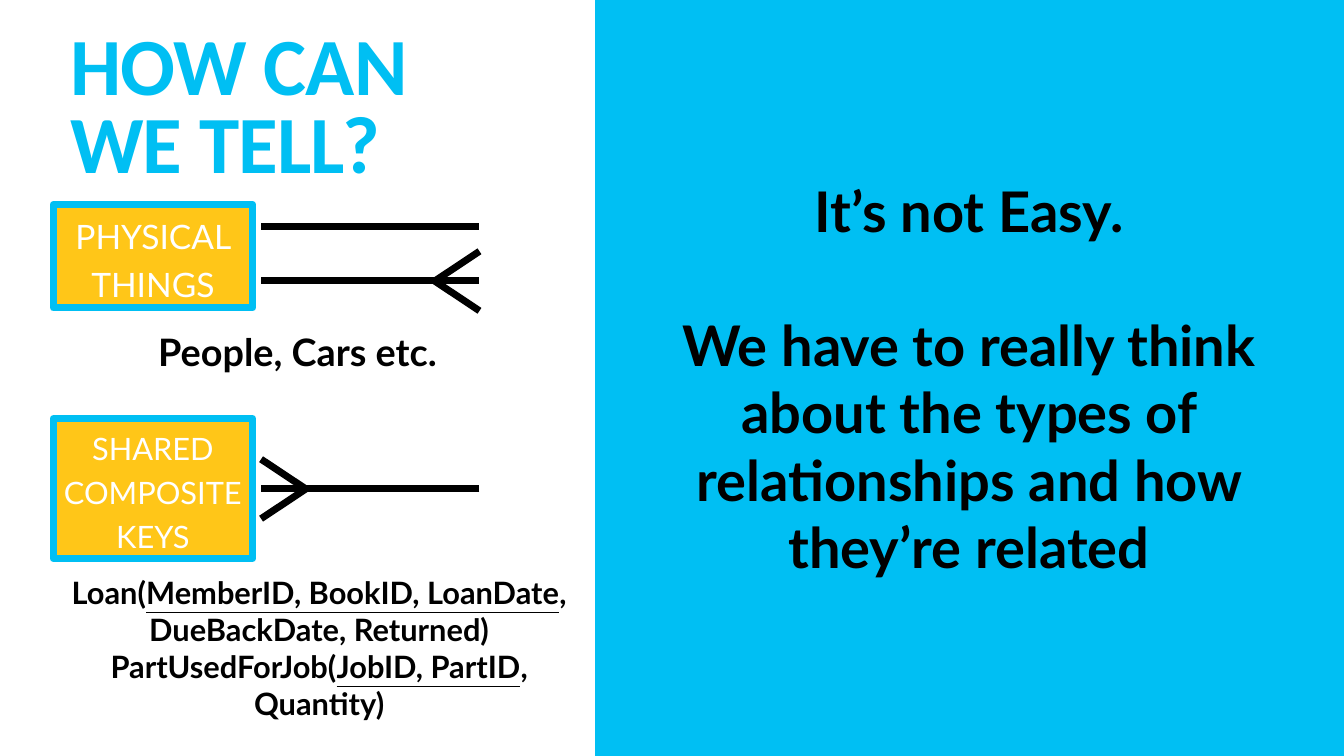
"""Builds a slide on telling relationship types apart, with crow's foot lines."""
from lxml import etree
from pptx import Presentation
from pptx.dml.color import RGBColor
from pptx.enum import shapes, text
from pptx.oxml import ns
from pptx.util import Pt

BLUE, GOLD, BLACK, WHITE = "00BFF3", "FFC618", "000000", "FFFFFF"


def color(value):
    return RGBColor.from_string(value)


def write(para, words, font="Lato", size=44, fill=BLACK, bold=False,
          underline=False, spacing=None):
    span = para.add_run()
    span.text = words
    span.font.name = font
    span.font.size = Pt(size)
    span.font.bold = bold
    span.font.underline = underline
    span.font.color.rgb = color(fill)
    if spacing is not None:
        span.font._element.set("spc", str(round(spacing * 100)))


class Slide:
    def __init__(self, deck):
        self.page = deck.slides.add_slide(deck.slide_layouts[5])
        self.inset = 4
        self.stroke = 10

    def frame(self, box, anchor=text.MSO_ANCHOR.MIDDLE):
        frame = box.text_frame
        frame.word_wrap = True
        frame.auto_size = text.MSO_AUTO_SIZE.NONE
        frame.vertical_anchor = anchor
        frame.margin_left = frame.margin_right = Pt(self.inset)
        frame.margin_top = frame.margin_bottom = Pt(self.inset)
        return frame

    def title(self, words, left, top, width, height):
        box = self.page.shapes.title
        box.left, box.top, box.width, box.height = map(Pt, (left, top, width, height))
        para = self.frame(box, text.MSO_ANCHOR.TOP).paragraphs[0]
        para.alignment = text.PP_ALIGN.LEFT
        para.line_spacing = 0.8
        write(para, words, font="Calibri", size=116, fill=BLUE, bold=True, spacing=-1.2)

    def rectangle(self, left, top, width, height, fill, outline=None):
        box = self.page.shapes.add_shape(
            shapes.MSO_SHAPE.RECTANGLE, *map(Pt, (left, top, width, height)))
        box.shadow.inherit = False
        box.fill.solid()
        box.fill.fore_color.rgb = color(fill)
        if outline:
            box.line.color.rgb = color(outline)
            box.line.width = Pt(self.stroke)
        else:
            box.line.fill.background()
        return box

    def heading(self, words, top, height, size):
        box = self.rectangle(76, top, 285, height, GOLD, BLUE)
        para = self.frame(box).paragraphs[0]
        para.alignment = text.PP_ALIGN.CENTER
        para.line_spacing = 1.2
        write(para, words, size=size, fill=WHITE)

    def label(self, paragraphs, left, top, width, height, size, gap=0):
        box = self.page.shapes.add_textbox(*map(Pt, (left, top, width, height)))
        frame = self.frame(box)
        for index, spans in enumerate(paragraphs):
            para = frame.add_paragraph() if index else frame.paragraphs[0]
            para.alignment = text.PP_ALIGN.CENTER
            para.space_before = Pt(gap if index else 0)
            for words, underline in spans:
                write(para, words, size=size, bold=True, underline=underline)

    def line(self, start, end, holder=None):
        holder = holder or self.page.shapes
        line = holder.add_connector(
            shapes.MSO_CONNECTOR.STRAIGHT, *map(Pt, (*start, *end)))
        line.line.color.rgb = color(BLACK)
        line.line.width = Pt(self.stroke)
        etree.SubElement(line._element.spPr, ns.qn("a:effectLst"))

    def crows_foot(self, start, end, y):
        holder = self.page.shapes.add_group_shape().shapes
        self.line((start, y), (end, y), holder)
        heel = end + (64 if start > end else -64)
        for rise in (-42.5, 42.5):
            self.line((heel, y + 0.5), (end, y + 0.5 + rise), holder)


def main():
    deck = Presentation()
    deck.slide_width, deck.slide_height = Pt(1920), Pt(1080)
    slide = Slide(deck)
    near, far = 373, 685

    slide.rectangle(850, 0, 1070, 1080, BLUE)
    slide.title("HOW CAN WE TELL?", 96, 44, 658, 322)

    slide.heading("PHYSICAL THINGS", 292, 148, 48)
    slide.line((near, 323), (far, 323))
    slide.crows_foot(near, far, 401)
    slide.label([[("People, Cars etc.", False)]], 135, 465, 580, 73, 54)

    slide.heading("SHARED COMPOSITE KEYS", 598, 200, 44)
    slide.label([
        [("Loan(", False), ("MemberID, BookID, LoanDate", True),
         (", DueBackDate, Returned)", False)],
        [("PartUsedForJob(", False), ("JobID, PartID", True), (", Quantity)", False)],
    ], 76, 815, 760, 221, 44)
    slide.crows_foot(far, near, 698)

    slide.label([
        [("It’s not Easy.", False)],
        [("We have to really think about the types of relationships "
          "and how they’re related", False)],
    ], 887, 245, 995, 590, 80, gap=96)
    deck.save("out.pptx")


if __name__ == "__main__":
    main()
